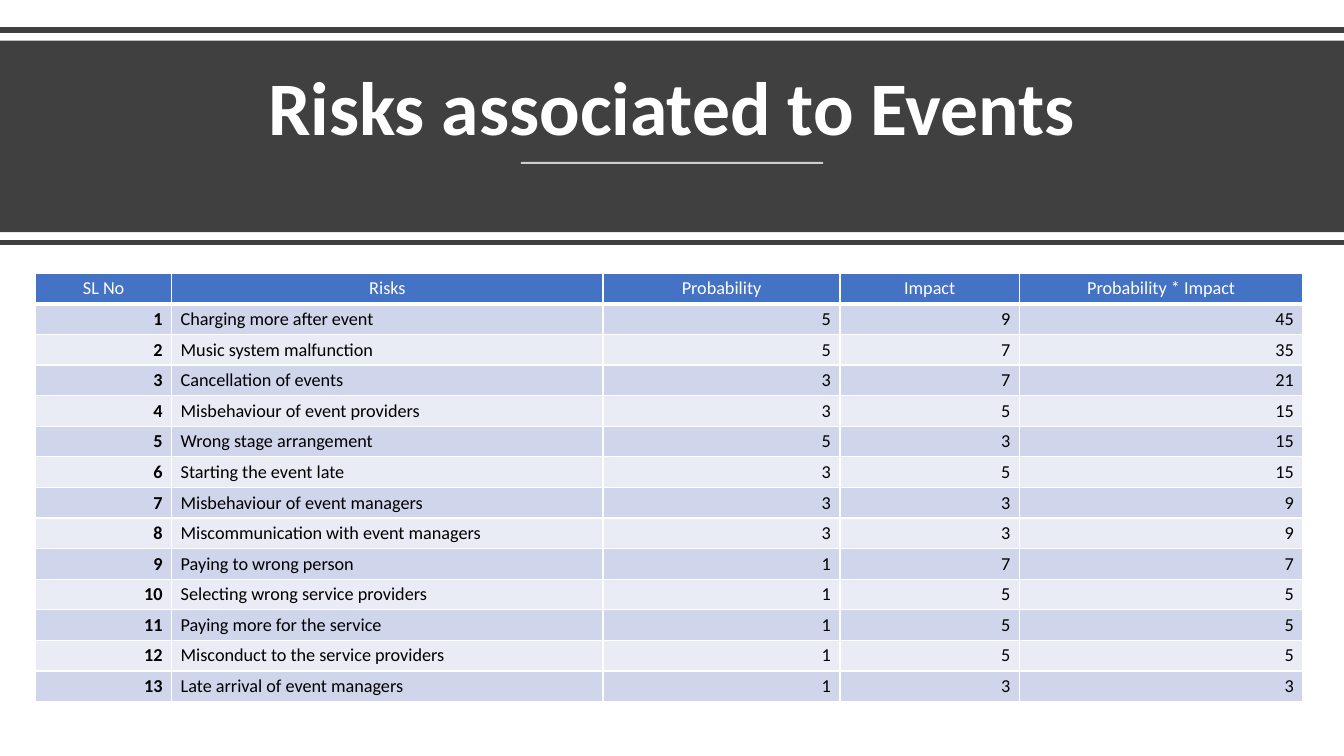
from lxml.etree import SubElement
from pptx import Presentation
from pptx.dml.color import RGBColor
from pptx.enum.shapes import MSO_CONNECTOR, MSO_SHAPE
from pptx.enum.text import MSO_ANCHOR, PP_ALIGN
from pptx.oxml.ns import qn
from pptx.util import Pt

WIDE, HIGH = 960, 540
DARK, WHITE, BLACK = "404040", "FFFFFF", "000000"
HEAD, BANDS = "4472C4", ("E9EBF5", "CFD5EA")

HEADS = ("SL No", "Risks", "Probability", "Impact", "Probability * Impact")
COLS = (97.2, 308.2, 169.2, 128.2, 202.4)
RISKS = [
    ("Charging more after event", 5, 9),
    ("Music system malfunction", 5, 7),
    ("Cancellation of events", 3, 7),
    ("Misbehaviour of event providers", 3, 5),
    ("Wrong stage arrangement", 5, 3),
    ("Starting the event late", 3, 5),
    ("Misbehaviour of event managers", 3, 3),
    ("Miscommunication with event managers", 3, 3),
    ("Paying to wrong person", 1, 7),
    ("Selecting wrong service providers", 1, 5),
    ("Paying more for the service", 1, 5),
    ("Misconduct to the service providers", 1, 5),
    ("Late arrival of event managers", 1, 3),
]


def tint(part, color):
    """Give a fill one solid colour."""
    part.solid()
    part.fore_color.rgb = RGBColor.from_string(color)


def put(item, style):
    """Set attributes from a dict of format values."""
    for name, value in style.items():
        setattr(item, name, value)


class Deck:
    font = "Calibri"
    inset = dict(margin_left=Pt(6.5), margin_right=Pt(6.5),
                 margin_top=Pt(0.7), margin_bottom=Pt(0))
    lead = dict(line_spacing=1.15, space_after=Pt(10))

    def __init__(self):
        self.file = Presentation()
        put(self.file, dict(slide_width=Pt(WIDE), slide_height=Pt(HIGH)))
        self.slide = self.file.slides.add_slide(self.file.slide_layouts[6])
        self.shapes = self.slide.shapes

    def label(self, frame, text, size, color, bold, **form):
        para = frame.paragraphs[0]
        put(para, form)
        run = para.add_run()
        run.text = text
        put(run.font, dict(name=self.font, size=Pt(size), bold=bold))
        tint(run.font.fill, color)

    def rule(self, left, right, y, color, width, alpha=100):
        line = self.shapes.add_connector(
            MSO_CONNECTOR.STRAIGHT, Pt(left), Pt(y), Pt(right), Pt(y))
        line.line.width = Pt(width)
        tint(line.line.fill, color)
        props = line._element.spPr
        if alpha < 100:
            shade = next(props.iter(qn("a:srgbClr")))
            SubElement(shade, qn("a:alpha"), val=str(alpha * 1000))
        SubElement(props, qn("a:effectLst"))

    def band(self, *box, color):
        rect = self.shapes.add_shape(MSO_SHAPE.RECTANGLE, *map(Pt, box))
        rect.shadow.inherit = False
        tint(rect.fill, color)
        rect.line.fill.background()

    def title(self, text, *box):
        frame = self.shapes.add_textbox(*map(Pt, box)).text_frame
        put(frame, dict(word_wrap=True, vertical_anchor=MSO_ANCHOR.BOTTOM))
        self.label(frame, text, 54, WHITE, True,
                   alignment=PP_ALIGN.CENTER, line_spacing=0.9)

    def edges(self, cell, top, bottom):
        props = cell._tc.get_or_add_tcPr()
        for side, width in zip("LRTB", (1, 1, top, bottom)):
            line = SubElement(props, qn("a:ln" + side), w=str(Pt(width)))
            fill = SubElement(line, qn("a:solidFill"))
            SubElement(fill, qn("a:srgbClr"), val=WHITE)

    def cell(self, cell, text, row, col):
        put(cell, self.inset)
        self.edges(cell, 3 if row == 1 else 1, 3 if row == 0 else 1)
        if row == 0:
            fill, color, align = HEAD, WHITE, PP_ALIGN.CENTER
        else:
            fill, color = BANDS[row % 2], BLACK
            align = PP_ALIGN.LEFT if col == 1 else PP_ALIGN.RIGHT
        tint(cell.fill, fill)
        self.label(cell.text_frame, text, 13, color, row > 0 and col == 0,
                   alignment=align, **self.lead)

    def table(self, rows, cols, left, top, high):
        grid = self.shapes.add_table(
            len(rows), len(cols), Pt(left), Pt(top),
            Pt(sum(cols)), Pt(high * len(rows))).table
        for col, width in zip(grid.columns, cols):
            col.width = Pt(width)
        for r, row in enumerate(rows):
            grid.rows[r].height = Pt(high)
            for c, value in enumerate(row):
                self.cell(grid.cell(r, c), str(value), r, c)


def main():
    deck = Deck()

    # Title banner with its rules
    deck.rule(0, WIDE, 21.5, DARK, 4)
    deck.band(0, 29, WIDE, 136.8, color=DARK)
    deck.title("Risks associated to Events", 41.6, 38.9, 876.8, 73.4)
    deck.rule(372, 588, 116.4, WHITE, 1.5, alpha=75)
    deck.rule(0, WIDE, 173.3, DARK, 4)

    # Risk table: the last column is probability times impact
    rows = [HEADS] + [(n, risk, odds, hit, odds * hit)
                      for n, (risk, odds, hit) in enumerate(RISKS, 1)]
    deck.table(rows, COLS, 25.4, 195.2, 21.87)

    deck.file.save("out.pptx")


if __name__ == "__main__":
    main()
